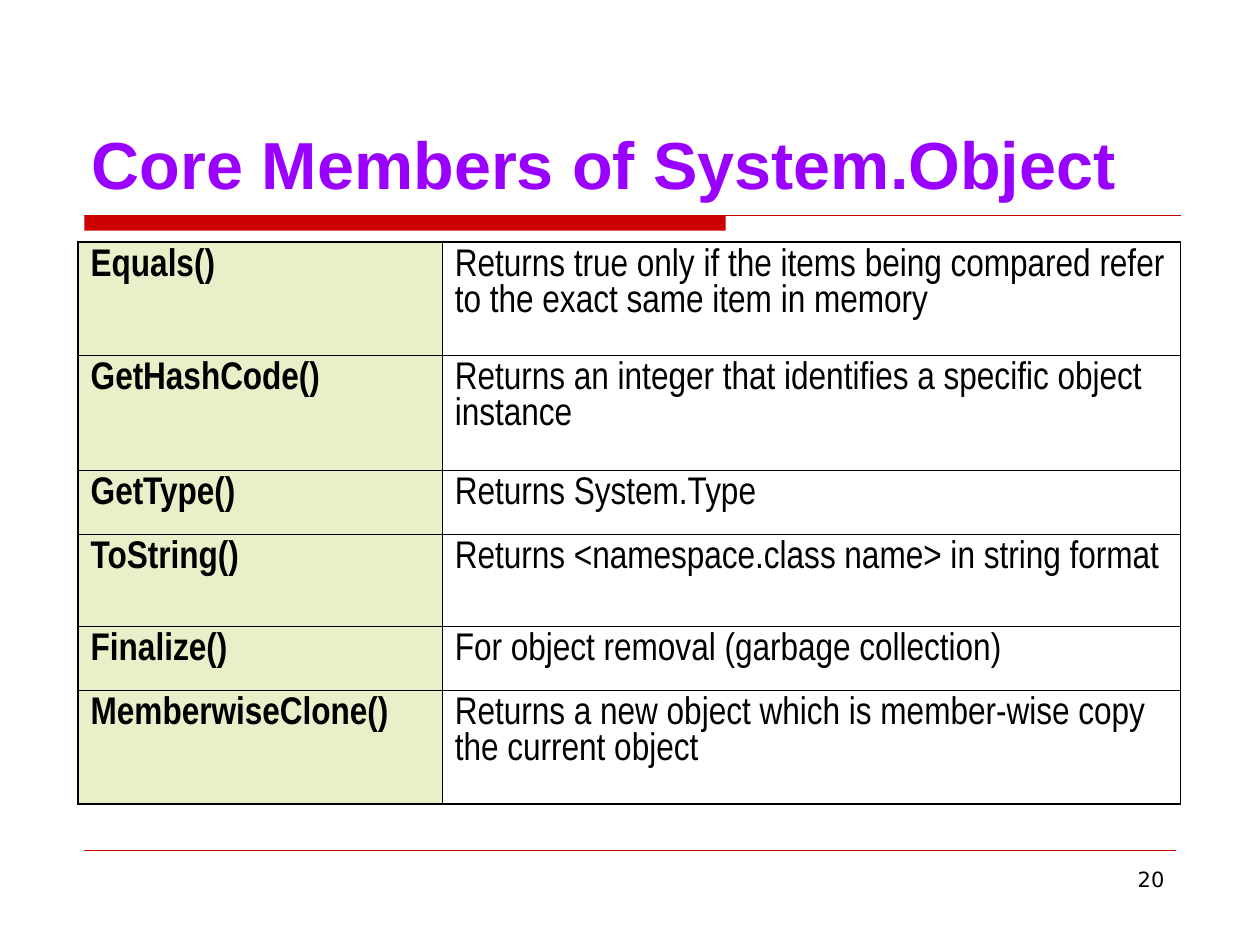
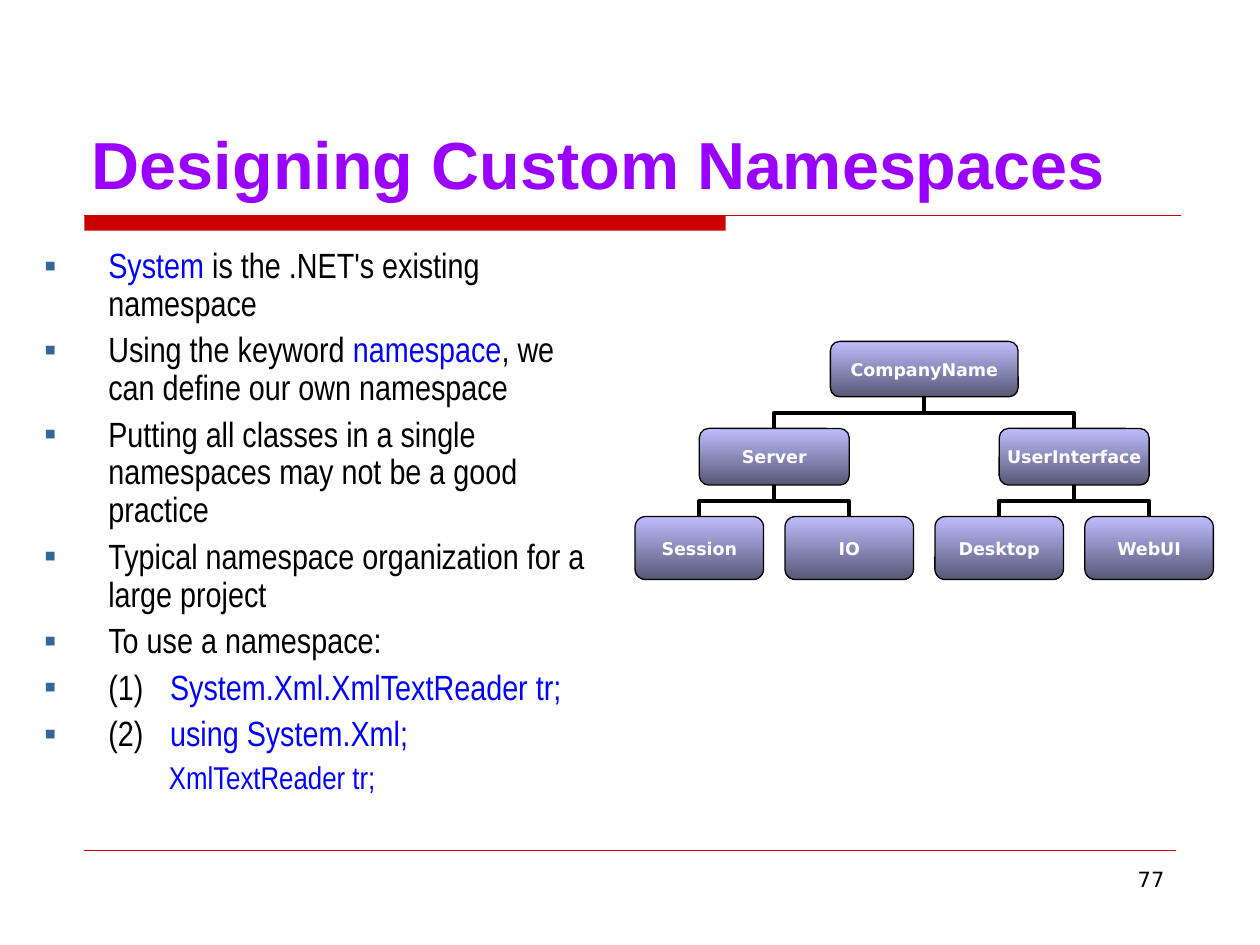
"""Build two slides on System.Object members and custom namespaces."""
from dataclasses import dataclass

from lxml import etree
from pptx import Presentation
from pptx.dml.color import RGBColor
from pptx.enum.shapes import MSO_CONNECTOR, MSO_SHAPE
from pptx.enum.text import MSO_ANCHOR, MSO_AUTO_SIZE, PP_ALIGN
from pptx.oxml.ns import qn
from pptx.util import Inches, Pt

STRAIGHT, ELBOW = MSO_CONNECTOR.STRAIGHT, MSO_CONNECTOR.ELBOW
RECTANGLE, ROUNDED = MSO_SHAPE.RECTANGLE, MSO_SHAPE.ROUNDED_RECTANGLE
LEFT, CENTER, RIGHT = PP_ALIGN.LEFT, PP_ALIGN.CENTER, PP_ALIGN.RIGHT
TOP, MIDDLE, BOTTOM = MSO_ANCHOR.TOP, MSO_ANCHOR.MIDDLE, MSO_ANCHOR.BOTTOM
NO_AUTOFIT = MSO_AUTO_SIZE.NONE
TITLE_AND_BODY, TITLE_ONLY = 1, 5


@dataclass(frozen=True)
class Theme:
    title: str = "9900FF"
    accent: str = "CC0000"
    text: str = "000000"
    code: str = "0000FF"
    bullet: str = "336699"
    member_fill: str = "EBEFC9"
    node_top: str = "BDBDFF"
    node_bottom: str = "575775"
    node_text: str = "FFFFFF"
    title_font: str = "Arial"
    body_font: str = "Arial Narrow"
    label_font: str = "DejaVu Sans"
    title_size: int = 38
    table_size: int = 22
    body_size: int = 20
    sub_size: int = 18
    number_size: int = 12
    node_size: int = 10


THEME = Theme()

MEMBERS_TITLE = "Core Members of System.Object"
MEMBERS = [
    ("Equals()", "Returns true only if the items being compared refer to the exact same item in memory", 0.9),
    ("GetHashCode()", "Returns an integer that identifies a specific object instance", 0.91),
    ("GetType()", "Returns System.Type", 0.51),
    ("ToString()", "Returns <namespace.class name> in string format", 0.73),
    ("Finalize()", "For object removal (garbage collection)", 0.51),
    ("MemberwiseClone()", "Returns a new object which is member-wise copy the current object", 0.9),
]
MEMBER_COLUMNS = (2.89, 5.86)

NAMESPACES_TITLE = "Designing Custom Namespaces"
PLAIN, CODE = THEME.text, THEME.code
NAMESPACE_POINTS = [
    (0, [("System", CODE), (" is the .NET's existing namespace", PLAIN)]),
    (0, [("Using the keyword ", PLAIN), ("namespace", CODE), (", we can define our own namespace", PLAIN)]),
    (0, [("Putting all classes in a single namespaces may not be a good practice", PLAIN)]),
    (0, [("Typical namespace organization for a large project", PLAIN)]),
    (0, [("To use a namespace:", PLAIN)]),
    (0, [("(1)\t", PLAIN), ("System.Xml.XmlTextReader tr;", CODE)]),
    (0, [("(2)\t", PLAIN), ("using System.Xml;", CODE)]),
    (1, [("XmlTextReader tr;", CODE)]),
]
NAMESPACE_TREE = ("CompanyName", [
    ("Server", [("Session", []), ("IO", [])]),
    ("UserInterface", [("Desktop", []), ("WebUI", [])]),
])
TREE_LEVELS = [(2.71, 1.49, 0.44), (3.4, 1.19, 0.45), (4.1, 1.02, 0.5)]
FIRST_LEAF_X, LEAF_PITCH = 5.55, 1.19


def rgb(color):
    return RGBColor.from_string(color)


def add_text(paragraph, text, *, size, font, color=THEME.text, bold=False, align=LEFT):
    paragraph.alignment = align
    run = paragraph.add_run()
    run.text = text
    run.font.size, run.font.name, run.font.bold = Pt(size), font, bold
    run.font.color.rgb = rgb(color)


def place(shape, left, top, width, height):
    shape.left, shape.top = Inches(left), Inches(top)
    shape.width, shape.height = Inches(width), Inches(height)


def add_line(slide, kind, begin, end, color, width):
    line = slide.shapes.add_connector(kind, *map(Inches, (*begin, *end)))
    line.line.color.rgb = rgb(color)
    line.line.width = Pt(width)
    etree.SubElement(line._element.spPr, qn("a:effectLst"))
    return line


def add_slide(presentation, layout, title, number):
    slide = presentation.slides.add_slide(presentation.slide_layouts[layout])
    band = slide.shapes.add_shape(RECTANGLE, *map(Inches, (0.67, 1.71, 5.09, 0.12)))
    band.shadow.inherit = False
    band.fill.solid()
    band.fill.fore_color.rgb = rgb(THEME.accent)
    band.line.fill.background()
    add_line(slide, STRAIGHT, (0.67, 1.71), (9.37, 1.71), THEME.accent, 1)
    add_line(slide, STRAIGHT, (0.67, 6.75), (9.33, 6.75), THEME.accent, 0.25)

    number_box = slide.shapes.add_textbox(*map(Inches, (7.17, 6.83, 2.17, 0.52)))
    number_box.text_frame.word_wrap = True
    add_text(number_box.text_frame.paragraphs[0], str(number), size=THEME.number_size,
             font=THEME.label_font, align=RIGHT)

    heading = slide.shapes.title
    place(heading, 0.63, 0.33, 8.75, 1.33)
    heading.text_frame.auto_size = NO_AUTOFIT
    heading.text_frame.vertical_anchor = BOTTOM
    add_text(heading.text_frame.paragraphs[0], title, size=THEME.title_size,
             font=THEME.title_font, color=THEME.title, bold=True)
    return slide


def set_borders(cell, widths):
    properties = cell._tc.get_or_add_tcPr()
    for index, (side, width) in enumerate(widths.items()):
        border = etree.Element(qn(f"a:ln{side}"), w=str(Pt(width)))
        fill = etree.SubElement(border, qn("a:solidFill"))
        etree.SubElement(fill, qn("a:srgbClr"), val=THEME.text)
        properties.insert(index, border)


def add_member_table(slide):
    heights = [height for _, _, height in MEMBERS]
    frame = slide.shapes.add_table(len(MEMBERS), len(MEMBER_COLUMNS), *map(
        Inches, (0.62, 1.92, sum(MEMBER_COLUMNS), sum(heights))))
    table = frame.table
    table.first_row = table.horz_banding = False
    for column, width in zip(table.columns, MEMBER_COLUMNS):
        column.width = Inches(width)
    outer, inner = 1.08, 0.45
    last = len(MEMBERS) - 1
    for row, (*texts, height) in enumerate(MEMBERS):
        table.rows[row].height = Inches(height)
        for column, text in enumerate(texts):
            is_name = column == 0
            cell = table.cell(row, column)
            cell.vertical_anchor = TOP
            if is_name:
                cell.fill.solid()
                cell.fill.fore_color.rgb = rgb(THEME.member_fill)
            else:
                cell.fill.background()
            set_borders(cell, {
                "L": outer if is_name else inner,
                "R": inner if is_name else outer,
                "T": outer if row == 0 else inner,
                "B": outer if row == last else inner,
            })
            add_text(cell.text_frame.paragraphs[0], text, size=THEME.table_size,
                     font=THEME.body_font, bold=is_name)


def format_bullet(paragraph, level):
    properties = paragraph._p.get_or_add_pPr()
    if level:
        properties.set("marL", str(Inches(0.99)))
        properties.set("indent", "0")
        etree.SubElement(properties, qn("a:buNone"))
        return
    properties.set("marL", str(Inches(0.51)))
    properties.set("indent", str(-Inches(0.51)))
    color = etree.SubElement(properties, qn("a:buClr"))
    etree.SubElement(color, qn("a:srgbClr"), val=THEME.bullet)
    etree.SubElement(properties, qn("a:buChar"), char="▪")
    tabs = etree.SubElement(properties, qn("a:tabLst"))
    etree.SubElement(tabs, qn("a:tab"), pos=str(Inches(1)), algn="l")


def fill_points(body):
    place(body, 0.25, 1.92, 4.58, 4.67)
    frame = body.text_frame
    frame.auto_size = NO_AUTOFIT
    for index, (level, runs) in enumerate(NAMESPACE_POINTS):
        paragraph = frame.add_paragraph() if index else frame.paragraphs[0]
        format_bullet(paragraph, level)
        paragraph.level = level
        paragraph.line_spacing = 0.9
        paragraph.space_before = Pt((4.5 if level else 5) if index else 0)
        for text, color in runs:
            add_text(paragraph, text, size=THEME.sub_size if level else THEME.body_size,
                     font=THEME.body_font, color=color)


def add_node(slide, name, center, level):
    top, width, height = TREE_LEVELS[level]
    node = slide.shapes.add_shape(ROUNDED, *map(Inches, (center - width / 2, top, width, height)))
    node.shadow.inherit = False
    node.fill.gradient()
    node.fill.gradient_angle = 270
    for stop, position, color in zip(node.fill.gradient_stops, (0, 1),
                                     (THEME.node_top, THEME.node_bottom)):
        stop.position = position
        stop.color.rgb = rgb(color)
    node.line.color.rgb = rgb(THEME.text)
    node.line.width = Pt(0.75)
    frame = node.text_frame
    frame.word_wrap = False
    frame.vertical_anchor = MIDDLE
    frame.margin_left = frame.margin_right = Inches(0.05)
    frame.margin_top = frame.margin_bottom = Inches(0.03)
    add_text(frame.paragraphs[0], name, size=THEME.node_size, font=THEME.label_font,
             color=THEME.node_text, bold=True, align=CENTER)


def add_branch(slide, parent_x, child_x, level):
    """Draw an elbow turned by a quarter so that it leaves the parent downwards."""
    top, _, height = TREE_LEVELS[level]
    begin_y, end_y = top + height, TREE_LEVELS[level + 1][0]
    middle_x, middle_y = (parent_x + child_x) / 2, (begin_y + end_y) / 2
    half_drop, half_span = (end_y - begin_y) / 2, (parent_x - child_x) / 2
    branch = add_line(slide, ELBOW, (middle_x - half_drop, middle_y - half_span),
                      (middle_x + half_drop, middle_y + half_span), THEME.text, 2.25)
    branch._element.spPr.find(qn("a:xfrm")).set("rot", str(90 * 60000))


def add_tree(slide, node, level=0, first_leaf=0):
    """Draw a subtree and return its centre and the number of its leaves."""
    name, children = node
    centers, leaves = [], 0
    for child in children:
        center, count = add_tree(slide, child, level + 1, first_leaf + leaves)
        centers.append(center)
        leaves += count
    center = sum(centers) / len(centers) if centers else FIRST_LEAF_X + first_leaf * LEAF_PITCH
    for child_x in centers:
        add_branch(slide, center, child_x, level)
    add_node(slide, name, center, level)
    return center, leaves or 1


def main():
    presentation = Presentation()
    presentation.slide_width, presentation.slide_height = Inches(10), Inches(7.5)
    add_member_table(add_slide(presentation, TITLE_ONLY, MEMBERS_TITLE, 20))
    namespaces = add_slide(presentation, TITLE_AND_BODY, NAMESPACES_TITLE, 77)
    fill_points(namespaces.placeholders[1])
    add_tree(namespaces, NAMESPACE_TREE)
    presentation.save("out.pptx")


if __name__ == "__main__":
    main()
